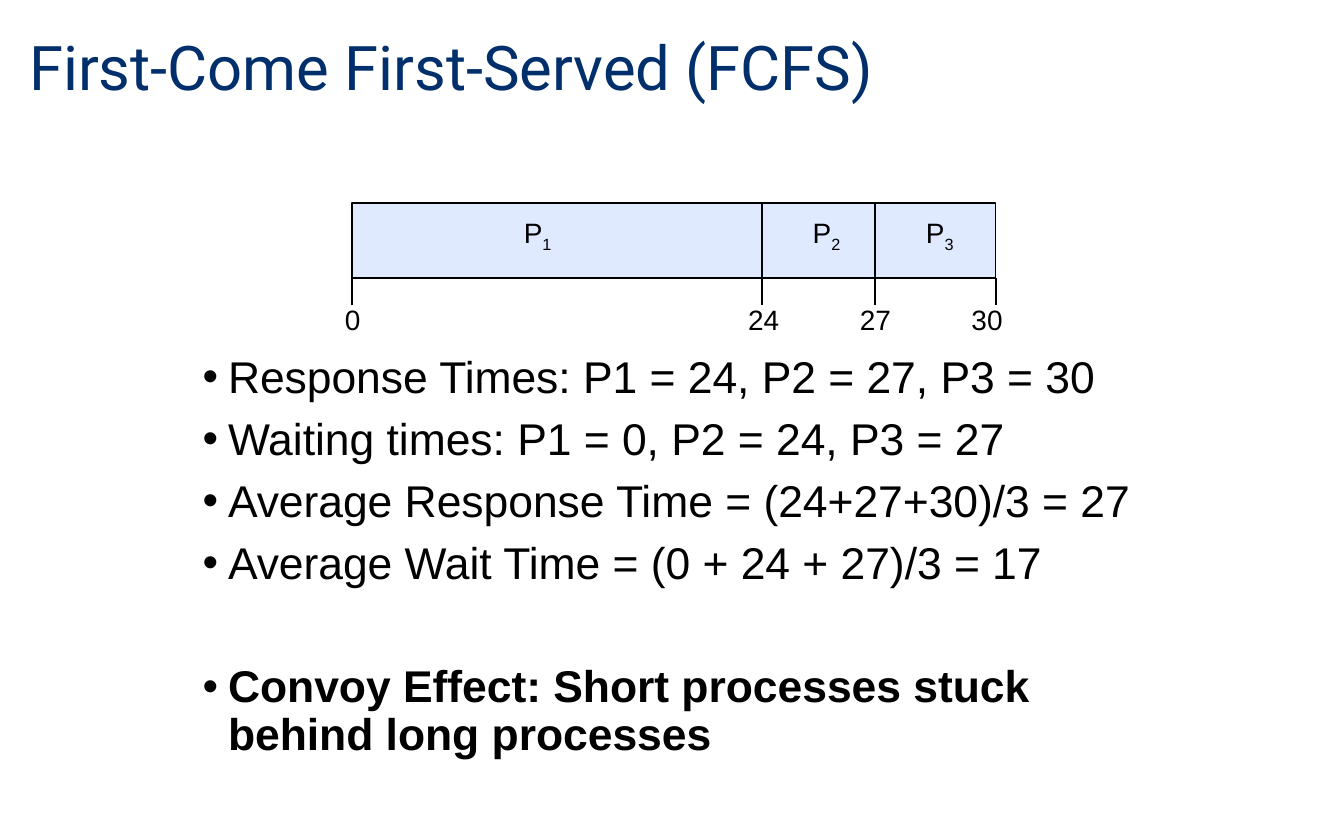
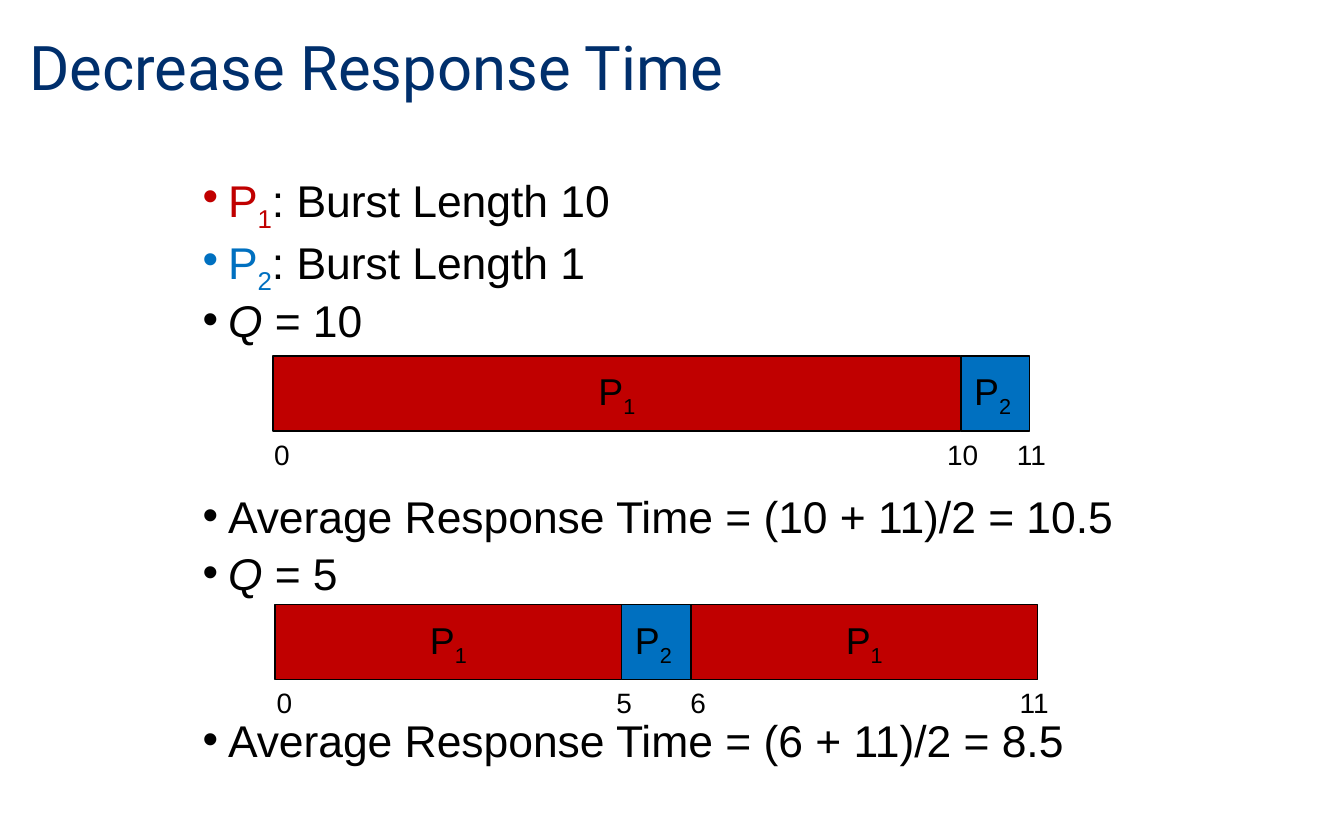
from dataclasses import dataclass
from itertools import accumulate

from lxml.etree import SubElement
from pptx import Presentation
from pptx.dml.color import RGBColor as RGB
from pptx.enum.shapes import MSO_CONNECTOR as CONN, MSO_SHAPE as SHAPE
from pptx.enum.text import MSO_ANCHOR as ANCHOR, PP_ALIGN as ALIGN
from pptx.oxml.ns import qn
from pptx.util import Cm, Pt


@dataclass(frozen=True)
class Theme:
    """Colours, fonts and sizes shared by both slides."""
    navy: RGB = RGB(0x00, 0x2F, 0x6C)
    black: RGB = RGB(0, 0, 0)
    pale: RGB = RGB(0xDF, 0xE9, 0xFF)
    red: RGB = RGB(0xC0, 0x00, 0x00)
    blue: RGB = RGB(0x00, 0x70, 0xC0)
    title_font: str = "Roboto"
    body_font: str = "Arial"
    title: float = 33
    body: float = 23.8
    process: float = 20
    label: float = 15
    gap: float = 7.5
    line: float = 0.75


T = Theme()


def write(p, runs, size, color=T.black, font=T.body_font):
    """Add (text, style) runs; styles: sub, bold, italic, color."""
    for text, style in runs:
        r = p.add_run()
        r.text = text
        r.font.name, r.font.size = font, Pt(size)
        r.font.color.rgb = style.get("color", color)
        if style.get("bold"):
            r.font.bold = True
        if style.get("italic"):
            r.font.italic = True
        if style.get("sub"):
            r.font._element.set("baseline", "-25000")


def add_label(shapes, left, top, width, runs):
    """Add a small unwrapped text box, placed in centimetres."""
    sp = shapes.add_textbox(Cm(left), Cm(top), Cm(width), Cm(0.89))
    tf = sp.text_frame
    tf.word_wrap = False
    tf.vertical_anchor = ANCHOR.MIDDLE
    write(tf.paragraphs[0], runs, T.label)


prs = Presentation()
prs.slide_width, prs.slide_height = Cm(25.4), Cm(15.88)

# Each bullet: runs and the space before it in points
fcfs_bullets = [
    ([("Response Times: P1 = 24, P2 = 27, P3 = 30", {})], T.gap),
    ([("Waiting times: P1 = 0, P2 = 24, P3 = 27", {})], T.gap),
    ([("Average Response Time = (24+27+30)/3 = 27", {})], T.gap),
    ([("Average Wait Time = (0 + 24 + 27)/3 = 17", {})], T.gap),
    ([("Convoy Effect: Short processes stuck behind long processes",
       {"bold": True})], 40.7),
]
quantum_bullets = [
    ([("P", {"color": T.red}), ("1", {"color": T.red, "sub": True}),
      (": Burst Length 10", {})], T.gap),
    ([("P", {"color": T.blue}), ("2", {"color": T.blue, "sub": True}),
      (": Burst Length 1", {})], T.gap),
    ([("Q", {"italic": True}), (" = 10", {})], T.gap),
    ([("Average Response Time = (10 + 11)/2 = 10.5", {})], 82),
    ([("Q", {"italic": True}), (" = 5", {})], T.gap),
    ([("Average Response Time = (6 + 11)/2 = 8.5", {})], 67),
]

# Title, body top, body height, line spacing, bullets
pages = [
    ("First-Come First-Served (FCFS)", 6.58, 8.46, 0.9, fcfs_bullets),
    ("Decrease Response Time", 3.25, 12.37, 0.8, quantum_bullets),
]
slides = []
for title, top, height, spacing, bullets in pages:
    s = prs.slides.add_slide(prs.slide_layouts[6])
    slides.append(s)

    tf = s.shapes.add_textbox(Cm(0.3), Cm(0.25), Cm(21.64), Cm(2.18)).text_frame
    tf.word_wrap = True
    tf.vertical_anchor = ANCHOR.MIDDLE
    p = tf.paragraphs[0]
    p.line_spacing = 0.9
    write(p, [(title, {})], T.title, T.navy, T.title_font)

    tf = s.shapes.add_textbox(Cm(3.58), Cm(top), Cm(18.26), Cm(height)).text_frame
    tf.word_wrap = True
    for i, (runs, before) in enumerate(bullets):
        p = tf.add_paragraph() if i else tf.paragraphs[0]
        p.line_spacing, p.space_before = spacing, Pt(before)
        pPr = p._p.get_or_add_pPr()
        pPr.set("marL", str(Cm(0.48)))
        pPr.set("indent", str(-Cm(0.48)))
        SubElement(pPr, qn("a:buFont"), typeface=T.body_font)
        SubElement(pPr, qn("a:buChar"), char="•")
        write(p, runs, T.body)

# Slide 1: schedule on one bar, with ticks at the switch times
bar_top, bar_bottom, tick_bottom = 3.84, 5.26, 5.77
ticks = [6.65, 14.4, 16.54, 18.82]
shapes = slides[0].shapes.add_group_shape().shapes
sp = shapes.add_shape(SHAPE.RECTANGLE, Cm(ticks[0]), Cm(bar_top),
                      Cm(ticks[-1] - ticks[0]), Cm(bar_bottom - bar_top))
sp.shadow.inherit = False
sp.fill.solid()
sp.fill.fore_color.rgb = T.pale
sp.line.color.rgb, sp.line.width = T.black, Pt(T.line)

for x in ticks:
    start = bar_bottom if x in (ticks[0], ticks[-1]) else bar_top
    cx = shapes.add_connector(CONN.STRAIGHT, Cm(x), Cm(start), Cm(x), Cm(tick_bottom))
    cx.line.color.rgb, cx.line.width = T.black, Pt(T.line)
    SubElement(cx._element.spPr, qn("a:effectLst"))

for number, left in zip("123", (9.65, 15.11, 17.25)):
    add_label(shapes, left, 3.99, 1.07, [("P", {}), (number, {"sub": True})])
for time, left in (("0", 6.27), ("24", 13.89), ("27", 16), ("30", 18.11)):
    add_label(shapes, left, 5.59, 0.81 if len(time) == 1 else 1.12, [(time, {})])

# Slide 2: round-robin schedules, bars drawn to scale
fills = {"1": T.red, "2": T.blue}
# Left, top, cm per time unit, (process, duration) pairs, (time, left) labels
schedules = [
    (5.16, 6.73, 1.3, [("1", 10), ("2", 1)],
     [("0", 4.93), ("10", 17.65), ("11", 18.97)]),
    (5.2, 11.43, 1.31, [("1", 5), ("2", 1), ("1", 5)],
     [("0", 4.98), ("5", 11.4), ("6", 12.8), ("11", 19.02)]),
]
for left, top, unit, slots, times in schedules:
    shapes = slides[1].shapes.add_group_shape().shapes
    starts = accumulate((length for _, length in slots), initial=0)
    for (number, length), start in zip(slots, starts):
        sp = shapes.add_shape(SHAPE.RECTANGLE, Cm(left + start * unit), Cm(top),
                              Cm(length * unit), Cm(1.42))
        sp.shadow.inherit = False
        sp.fill.solid()
        sp.fill.fore_color.rgb = fills[number]
        sp.line.color.rgb, sp.line.width = T.black, Pt(T.line)
        tf = sp.text_frame
        tf.word_wrap = False
        tf.vertical_anchor = ANCHOR.MIDDLE
        p = tf.paragraphs[0]
        p.alignment = ALIGN.CENTER if length > 1 else ALIGN.LEFT
        write(p, [("P", {}), (number, {"sub": True})], T.process)
    for time, x in times:
        add_label(shapes, x, top + 1.41, 0.81 if len(time) == 1 else 1.12, [(time, {})])

prs.save("out.pptx")
